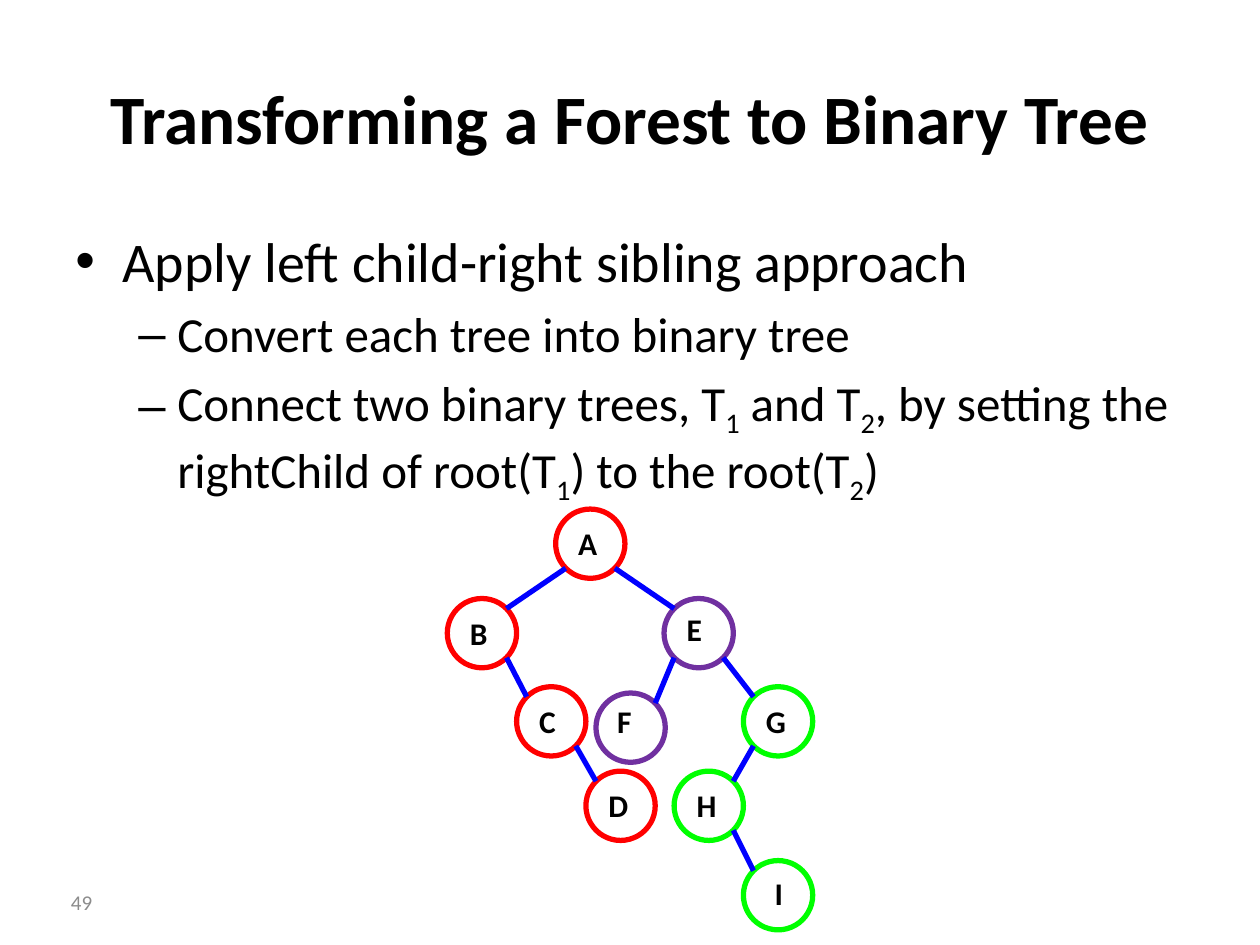
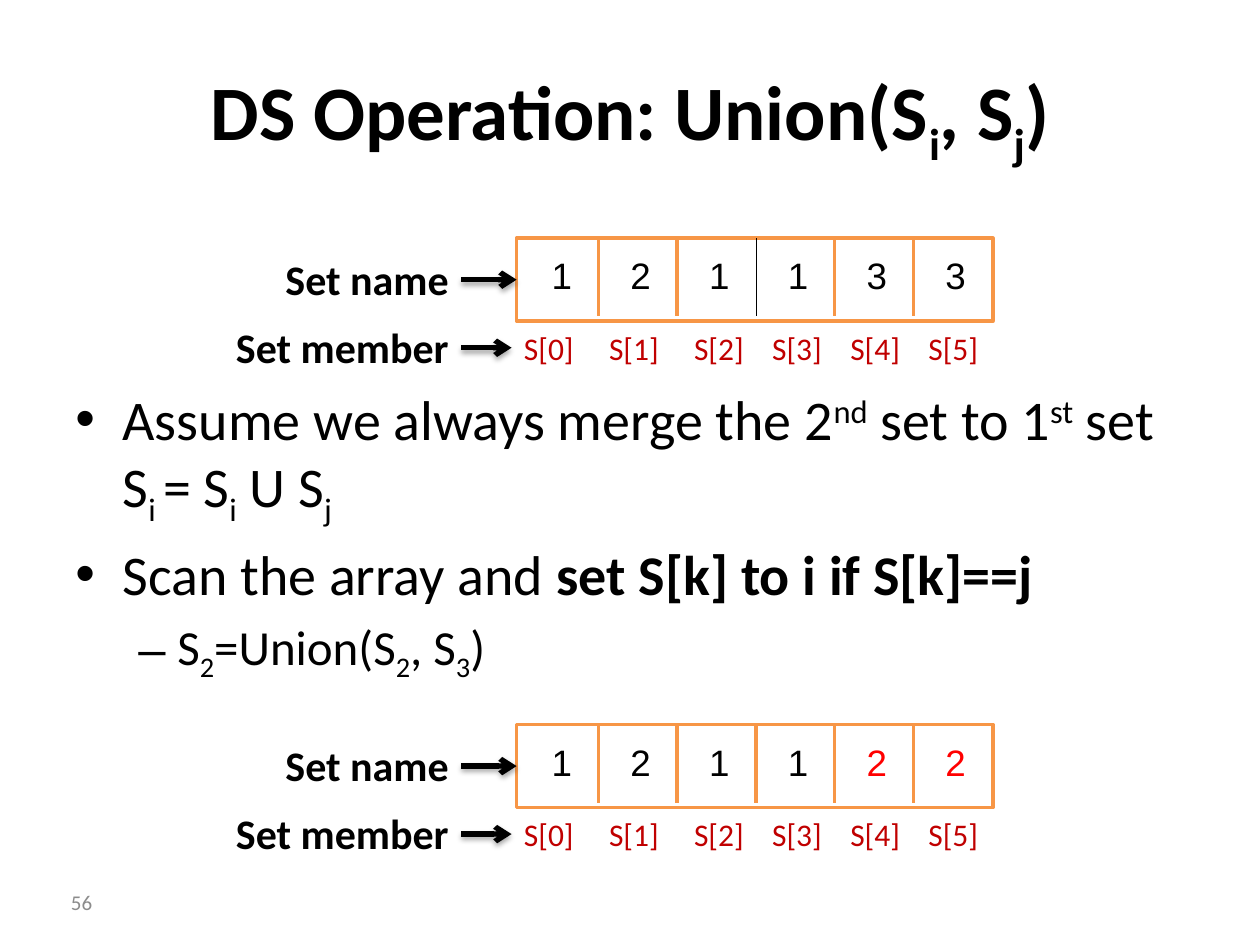
from dataclasses import dataclass

from lxml.etree import SubElement
from pptx import Presentation
from pptx.dml.color import RGBColor
from pptx.enum.shapes import MSO_CONNECTOR, MSO_SHAPE
from pptx.enum.text import MSO_ANCHOR, MSO_AUTO_SIZE, PP_ALIGN
from pptx.oxml.ns import qn
from pptx.util import Inches, Pt

BLACK = RGBColor(0x00, 0x00, 0x00)
WHITE = RGBColor(0xFF, 0xFF, 0xFF)
GRAY = RGBColor(0x8C, 0x8C, 0x8C)
RED = RGBColor(0xFF, 0x00, 0x00)
DARK_RED = RGBColor(0xC0, 0x00, 0x00)
PURPLE = RGBColor(0x70, 0x30, 0xA0)
GREEN = RGBColor(0x00, 0xFF, 0x00)
BLUE = RGBColor(0x00, 0x00, 0xFF)
ORANGE = RGBColor(0xF7, 0x96, 0x46)

COLUMNS, ROWS = 100, 75
BASELINES = {"_": "-25000", "^": "30000"}
# Bullet, size, left margin and hanging indent in columns, by outline level
LEVELS = [("•", 32, 3.75, -3.75), ("–", 28, 8.1, -3.1)]

NODE_SIZE = 5.5
CORNER_NEAR, CORNER_FAR = 0.8, 4.7

CELL_PITCH = 6.25
MEMBER_TABS = [6.75, 13.5, 19.7, 25.9, 32.1]


@dataclass
class Node:
    column: float
    row: float
    color: RGBColor
    label_shift: tuple = (0.8, -0.3)

    def corner(self, right, bottom):
        return (self.column + (CORNER_FAR if right else CORNER_NEAR),
                self.row + (CORNER_FAR if bottom else CORNER_NEAR))


TREE = {
    "A": Node(44.1, 40.4, RED),
    "B": Node(35.5, 47.5, RED),
    "C": Node(41, 54.5, RED),
    "D": Node(46.5, 61.2, RED),
    "E": Node(52.7, 47.5, PURPLE, (0.8, -0.6)),
    "F": Node(47.3, 55, PURPLE, (0.7, -0.8)),
    "G": Node(59, 54.5, GREEN),
    "H": Node(53.5, 61.2, GREEN),
    "I": Node(59, 68.3, GREEN, (1.5, -0.4)),
}
PARENT_CHILD = ["AB", "AE", "BC", "CD", "EF", "EG", "GH", "HI"]


class Deck:
    def __init__(self):
        self.prs = Presentation()
        self.prs.slide_width, self.prs.slide_height = Inches(10), Inches(7.5)
        self.slide = None

    def x(self, columns):
        return round(self.prs.slide_width * columns / COLUMNS)

    def y(self, rows):
        return round(self.prs.slide_height * rows / ROWS)

    def box(self, left, top, width, height):
        return self.x(left), self.y(top), self.x(width), self.y(height)

    def fill_paragraph(self, paragraph, marked, size, color=BLACK, bold=False,
                       font="Calibri", align=PP_ALIGN.LEFT):
        """Add runs; parts between bars may start with _ (sub), ^ (super) or * (bold)."""
        paragraph.alignment = align
        style = paragraph.font
        style.name, style.size, style.bold = font, Pt(size), bold
        style.color.rgb = color
        for part in marked.split("|"):
            mark = part[0] if part[0] in "_^*" else ""
            run = paragraph.add_run()
            run.text = part[len(mark):]
            if mark == "*":
                run.font.bold = True
            elif mark:
                run._r.get_or_add_rPr().set("baseline", BASELINES[mark])

    def start(self, title, page, title_size):
        self.slide = self.prs.slides.add_slide(self.prs.slide_layouts[5])
        heading = self.slide.shapes.title
        heading.left, heading.top, heading.width, heading.height = self.box(5, 3, 90, 12.5)
        frame = heading.text_frame
        frame.auto_size = MSO_AUTO_SIZE.NONE
        frame.vertical_anchor = MSO_ANCHOR.MIDDLE
        self.fill_paragraph(frame.paragraphs[0], title, title_size, bold=True,
                            align=PP_ALIGN.CENTER)
        self.text(page, (1.3, 69.6, 7, 4), 12, color=GRAY,
                  align=PP_ALIGN.RIGHT, anchor=MSO_ANCHOR.MIDDLE)

    def text(self, words, place, size, inset=0.05, anchor=MSO_ANCHOR.TOP, tabs=(), **style):
        area = self.slide.shapes.add_textbox(*self.box(*place))
        frame = area.text_frame
        frame.word_wrap = True
        frame.vertical_anchor = anchor
        frame.margin_top = frame.margin_bottom = Inches(inset)
        paragraph = frame.paragraphs[0]
        if tabs:
            stops = SubElement(paragraph._p.get_or_add_pPr(), qn("a:tabLst"))
            for stop in tabs:
                SubElement(stops, qn("a:tab"), pos=str(self.x(stop)), algn="l")
        self.fill_paragraph(paragraph, words, size, **style)
        return area

    def outline(self, items, place):
        """Add bulleted (level, text) items."""
        frame = self.slide.shapes.add_textbox(*self.box(*place)).text_frame
        frame.word_wrap = True
        for index, (level, words) in enumerate(items):
            bullet, size, margin, indent = LEVELS[level]
            paragraph = frame.add_paragraph() if index else frame.paragraphs[0]
            paragraph.level = level
            if index:
                paragraph.space_before = Pt(size * 0.2)
            props = paragraph._p.get_or_add_pPr()
            props.set("marL", str(self.x(margin)))
            props.set("indent", str(self.x(indent)))
            tint = SubElement(props, qn("a:buClr"))
            SubElement(tint, qn("a:srgbClr"), val=str(BLACK))
            SubElement(props, qn("a:buFont"), typeface="Arial")
            SubElement(props, qn("a:buChar"), char=bullet)
            self.fill_paragraph(paragraph, words, size)

    def shape(self, kind, place, line_color, weight, fill=None):
        figure = self.slide.shapes.add_shape(kind, *self.box(*place))
        figure.shadow.inherit = False
        figure.line.color.rgb = line_color
        figure.line.width = Pt(weight)
        if fill is None:
            figure.fill.background()
        else:
            figure.fill.solid()
            figure.fill.fore_color.rgb = fill
        return figure

    def line(self, begin, end, color, weight):
        link = self.slide.shapes.add_connector(
            MSO_CONNECTOR.STRAIGHT, self.x(begin[0]), self.y(begin[1]),
            self.x(end[0]), self.y(end[1]))
        link.line.color.rgb = color
        link.line.width = Pt(weight)
        SubElement(link._element.spPr, qn("a:effectLst"))
        return link

    def arrow(self, source, target):
        """Point from the right side of one box to the left side of another, with a soft shadow."""
        link = self.line((0, 0), (1, 1), BLACK, 3)
        link.begin_connect(source, 3)
        link.end_connect(target, 1)
        SubElement(link.get_or_add_ln(), qn("a:tailEnd"), type="arrow")
        effects = link._element.spPr.find(qn("a:effectLst"))
        shadow = SubElement(effects, qn("a:outerShdw"), blurRad=str(Pt(3.1)),
                            dist=str(Pt(1.8)), dir="5400000", rotWithShape="0")
        shade = SubElement(shadow, qn("a:srgbClr"), val=str(BLACK))
        SubElement(shade, qn("a:alpha"), val="35000")

    def tree(self, nodes, edges):
        for node in nodes.values():
            self.shape(MSO_SHAPE.OVAL, (node.column, node.row, NODE_SIZE, NODE_SIZE),
                       node.color, 3)
        for parent, child in edges:
            upper, lower = nodes[parent], nodes[child]
            rightward = lower.column > upper.column
            self.line(lower.corner(not rightward, False), upper.corner(rightward, True), BLUE, 3)
        for name, node in nodes.items():
            right, down = node.label_shift
            self.text(name, (node.column + right, node.row + down, 3.9, 6.6), 18,
                      inset=0.15, bold=True)

    def set_array(self, top, names, changed=(), thin_divider=None):
        """Draw the array of set names, its member captions and the pointing labels."""
        array = self.shape(MSO_SHAPE.RECTANGLE, (41, top, 37.8, 6.6), ORANGE, 2, WHITE)
        for index, name in enumerate(names):
            offset = index * CELL_PITCH
            if index:
                divider = 41.25 + offset
                color, weight = (BLACK, 0.25) if index == thin_divider else (ORANGE, 2)
                self.line((divider, top), (divider, top + 6.2), color, weight)
            self.text(name, (42.8 + offset, top + 0.7, 3.9, 4.5), 21, font="Arial",
                      color=RED if index in changed else BLACK)
        captions = "\t".join(f"S[{index}]" for index in range(len(names)))
        members = self.text(captions, (40.6, top + 6.7, 39.2, 4), 18,
                            tabs=MEMBER_TABS, color=DARK_RED)
        rows = [("Set name", 20.1, -0.3, array), ("Set member", 16.1, 5.1, members)]
        for words, left, drop, target in rows:
            label = self.text(words, (left, top + drop, 36.6 - left, 7.2), 24, inset=0.15,
                              bold=True, align=PP_ALIGN.RIGHT)
            self.arrow(label, target)


def main():
    deck = Deck()

    deck.start("Transforming a Forest to Binary Tree", "49", 39.6)
    deck.outline([
        (0, "Apply left child-right sibling approach"),
        (1, "Convert each tree into binary tree"),
        (1, "Connect two binary trees, T|_1| and T|_2|, by setting the "
            "rightChild of root(T|_1|) to the root(T|_2|)"),
    ], (5, 17.5, 90, 49.5))
    deck.tree(TREE, PARENT_CHILD)

    deck.start("DS Operation: Union(S|_i|, S|_j|)", "56", 44)
    deck.outline([
        (0, "Assume we always merge the 2|^nd| set to 1|^st| set S|_i |= S|_i| U S|_j"),
        (0, "Scan the array and |*set S[k] to i if S[k]==j"),
        (1, "S|_2|=Union(S|_2|, S|_3|)"),
    ], (5, 30, 90, 27))
    deck.set_array(18.9, "121133", thin_divider=3)
    deck.set_array(57.5, "121122", changed=(4, 5))

    deck.prs.save("out.pptx")


if __name__ == "__main__":
    main()
